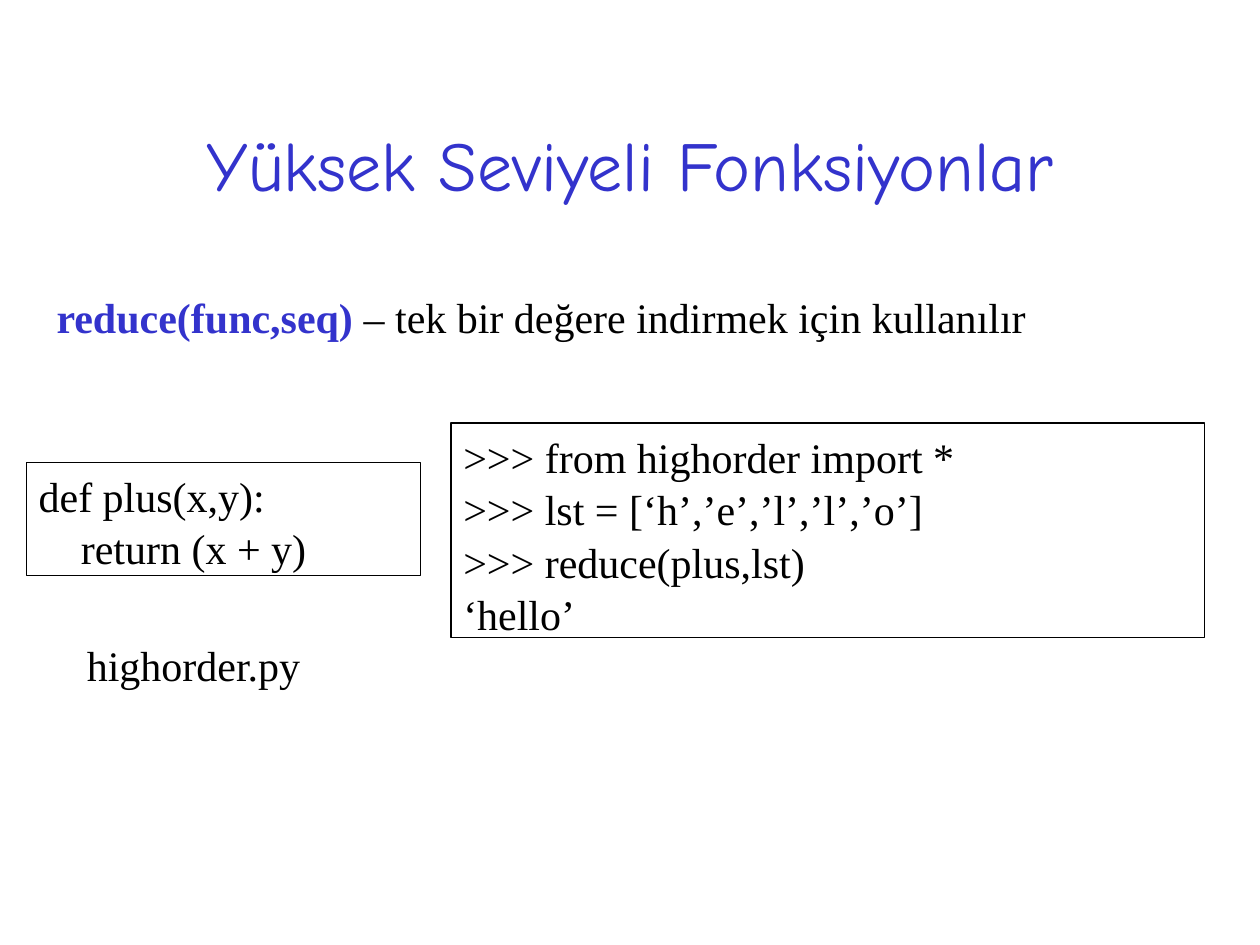
"""Build a slide that explains the reduce function."""
from pptx import Presentation
from pptx.dml.color import RGBColor
from pptx.enum.shapes import MSO_SHAPE
from pptx.enum.text import MSO_ANCHOR, MSO_AUTO_SIZE, PP_ALIGN
from pptx.util import Cm, Pt

BLUE = RGBColor(0x33, 0x33, 0xCC)
BLACK = RGBColor(0x00, 0x00, 0x00)
BODY_FONT = "Times New Roman"

TITLE = [[("Yüksek Seviyeli Fonksiyonlar", BLUE, False)]]
SUMMARY = [[("reduce(func,seq)", BLUE, True),
            (" – tek bir değere indirmek için kullanılır", BLACK, False)]]
FUNCTION = ["def plus(x,y):", "return (x + y)"]
SESSION = [
    ">>> from highorder import *",
    ">>> lst = [‘h’,’e’,’l’,’l’,’o’]",
    ">>> reduce(plus,lst)",
    "‘hello’",
]
FILE_NAME = ["highorder.py"]


def add_text(page, lines, place, *, font=BODY_FONT, size=24, framed=False,
             align=PP_ALIGN.LEFT, anchor=MSO_ANCHOR.TOP, before=0,
             spacing=1.04, fit=True, indents=()):
    """Add a plain or framed box whose lines are strings or styled spans."""
    bounds = [Cm(length) for length in place]
    if framed:
        box = page.shapes.add_shape(MSO_SHAPE.RECTANGLE, *bounds)
        box.shadow.inherit = False
        box.fill.background()
        box.line.color.rgb = BLACK
        box.line.width = Pt(0.75)
    else:
        box = page.shapes.add_textbox(*bounds)
    frame = box.text_frame
    frame.word_wrap = True
    frame.vertical_anchor = anchor
    frame.auto_size = MSO_AUTO_SIZE.SHAPE_TO_FIT_TEXT if fit else MSO_AUTO_SIZE.NONE
    for index, line in enumerate(lines):
        para = frame.add_paragraph() if index else frame.paragraphs[0]
        para.alignment = align
        para.space_before = Pt(before)
        para.line_spacing = spacing
        if index in indents:
            para._p.get_or_add_pPr().set("marL", str(Cm(0.85)))
        spans = [(line, BLACK, False)] if isinstance(line, str) else line
        for text, color, bold in spans:
            span = para.add_run()
            span.text = text
            span.font.name = font
            span.font.size = Pt(size)
            span.font.bold = bold
            span.font.color.rgb = color
    return box


def main():
    deck = Presentation()
    deck.slide_width, deck.slide_height = Cm(25.4), Cm(19.05)
    page = deck.slides.add_slide(deck.slide_layouts[6])
    add_text(page, TITLE, (1.9, 1.7, 21.6, 3.18), font="Comic Neue", size=40,
             align=PP_ALIGN.CENTER, anchor=MSO_ANCHOR.MIDDLE, spacing=1, fit=False)
    add_text(page, SUMMARY, (0.89, 5.72, 23.6, 1.27), before=15)
    add_text(page, FUNCTION, (0.53, 9.32, 7.95, 2.29), framed=True, indents=(1,))
    add_text(page, SESSION, (9.09, 8.53, 15.19, 4.32), framed=True)
    add_text(page, FILE_NAME, (1.5, 12.73, 6, 1.27), before=15)
    deck.save("out.pptx")


if __name__ == "__main__":
    main()
